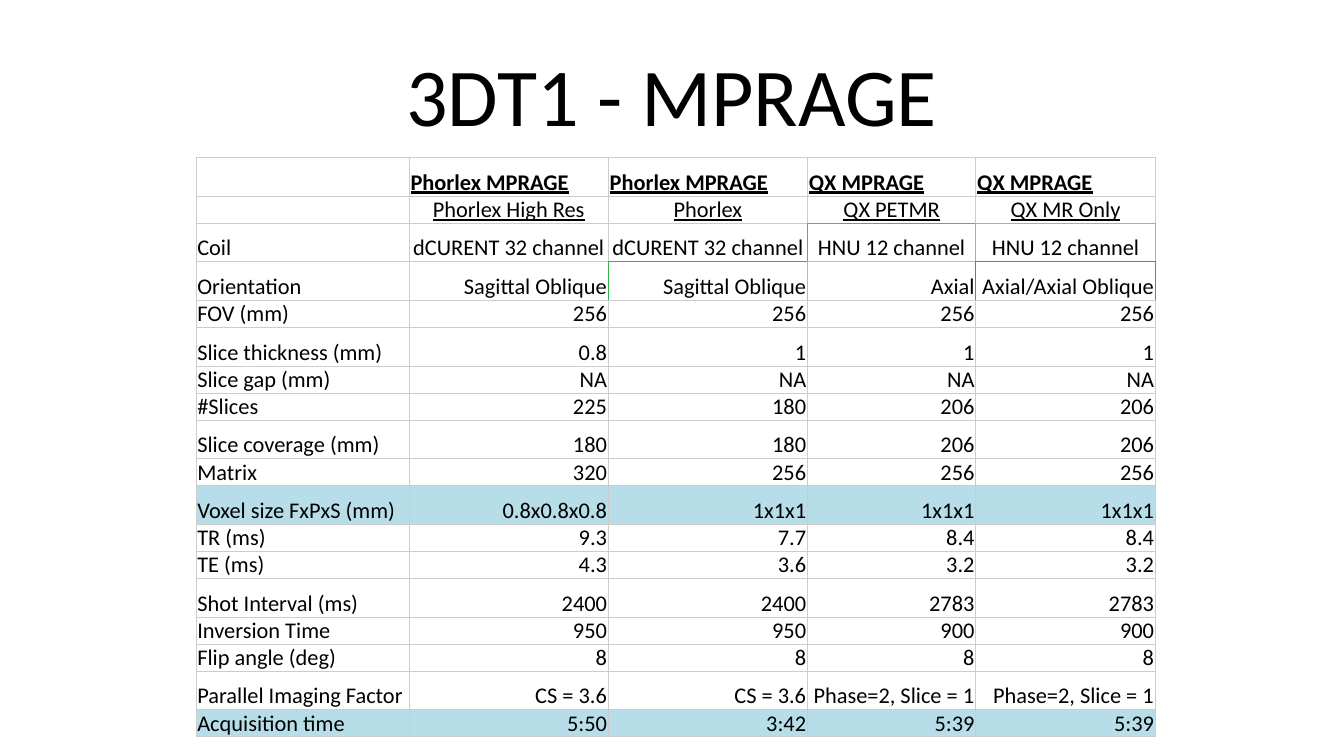
from lxml.etree import SubElement
from pptx import Presentation
from pptx.dml.color import RGBColor
from pptx.enum.text import MSO_ANCHOR as Anchor, PP_ALIGN as Align
from pptx.oxml.ns import qn
from pptx.util import Pt

FONT = "Calibri"
BLACK = RGBColor(0x00, 0x00, 0x00)
GRID = RGBColor(0xCC, 0xCC, 0xCC)
HIGHLIGHT = RGBColor(0xB7, 0xDE, 0xE8)
GREEN = RGBColor(0x48, 0xBC, 0x4C)
OLIVE = RGBColor(0xB0, 0xBC, 0x4C)
LEAF = RGBColor(0x30, 0xB3, 0x4C)
AMBER = RGBColor(0xE0, 0xBA, 0x4C)
EMERALD = RGBColor(0x00, 0xBF, 0x4C)

PROTOCOL = [
    ("", "Phorlex MPRAGE", "Phorlex MPRAGE", "QX MPRAGE", "QX MPRAGE"),
    ("", "Phorlex High Res", "Phorlex", "QX PETMR", "QX MR Only"),
    ("Coil", "dCURENT 32 channel", "dCURENT 32 channel", "HNU 12 channel", "HNU 12 channel"),
    ("Orientation", "Sagittal Oblique", "Sagittal Oblique", "Axial", "Axial/Axial Oblique"),
    ("FOV (mm)", "256", "256", "256", "256"),
    ("Slice thickness (mm)", "0.8", "1", "1", "1"),
    ("Slice gap (mm)", "NA", "NA", "NA", "NA"),
    ("#Slices", "225", "180", "206", "206"),
    ("Slice coverage (mm)", "180", "180", "206", "206"),
    ("Matrix", "320", "256", "256", "256"),
    ("Voxel size FxPxS (mm)", "0.8x0.8x0.8", "1x1x1", "1x1x1", "1x1x1"),
    ("TR (ms)", "9.3", "7.7", "8.4", "8.4"),
    ("TE (ms)", "4.3", "3.6", "3.2", "3.2"),
    ("Shot Interval (ms)", "2400", "2400", "2783", "2783"),
    ("Inversion Time", "950", "950", "900", "900"),
    ("Flip angle (deg)", "8", "8", "8", "8"),
    ("Parallel Imaging Factor", "CS = 3.6", "CS = 3.6", "Phase=2, Slice = 1", "Phase=2, Slice = 1"),
    ("Acquisition time", "5:50", "3:42", "5:39", "5:39"),
]
COLUMN_SHARES = (114, 106.5, 106.5, 90, 96)
TALL_ROWS = {0, 2, 3, 5, 8, 10, 13, 16}
TALL, SHORT = 20.8, 14.1
HIGHLIGHT_ROWS = {10, 17}
SIDES = ("L", "R", "T", "B")
ACCENT_EDGES = {
    (1, 3): {"B": GREEN},
    (1, 4): {"B": OLIVE},
    (2, 2): {"R": GREEN, "B": LEAF},
    (2, 3): {"L": GREEN, "T": GREEN, "R": OLIVE, "B": AMBER},
    (2, 4): {"L": OLIVE, "T": OLIVE, "R": OLIVE, "B": EMERALD},
    (3, 1): {"R": LEAF},
    (3, 2): {"L": LEAF, "T": LEAF, "R": AMBER},
    (3, 3): {"L": AMBER, "T": AMBER, "R": EMERALD},
    (3, 4): {"L": EMERALD, "T": EMERALD, "R": EMERALD},
}


def style_text(paragraph, size, align, bold=False, underline=False):
    """Set the alignment and font of a paragraph."""
    paragraph.alignment = align
    font = paragraph.font
    font.name, font.size = FONT, Pt(size)
    font.bold, font.underline = bold, underline
    font.color.rgb = BLACK


def draw_edges(cell, accents):
    """Draw the four borders of a cell, grey unless an accent is given."""
    properties = cell._tc.get_or_add_tcPr()
    for side in SIDES:
        edge = SubElement(properties, qn(f"a:ln{side}"), w=str(Pt(0.5)))
        fill = SubElement(edge, qn("a:solidFill"))
        SubElement(fill, qn("a:srgbClr"), val=str(accents.get(side, GRID)))


def fill_cell(cell, row, column, wording):
    """Write one protocol value and style its cell."""
    cell.margin_left = cell.margin_right = Pt(0.72)
    cell.margin_top = cell.margin_bottom = Pt(0)
    cell.vertical_anchor = Anchor.BOTTOM
    cell.text = wording
    if column == 0 or row == 0:
        align = Align.LEFT
    else:
        align = Align.CENTER if row < 3 else Align.RIGHT
    style_text(cell.text_frame.paragraphs[0], 12, align, row == 0, row < 2)
    draw_edges(cell, ACCENT_EDGES.get((row, column), {}))
    if row in HIGHLIGHT_ROWS:
        cell.fill.solid()
        cell.fill.fore_color.rgb = HIGHLIGHT
    else:
        cell.fill.background()


def add_title(slide, left, top, width, height):
    """Place the centred slide title in the given box."""
    frame = slide.shapes.add_textbox(Pt(left), Pt(top), Pt(width), Pt(height)).text_frame
    frame.word_wrap = True
    frame.vertical_anchor = Anchor.MIDDLE
    frame.text = "3DT1 - MPRAGE"
    style_text(frame.paragraphs[0], 44, Align.CENTER)


def add_protocol_table(slide, left, top, width):
    """Place the scan protocol table with its columns shared over the width."""
    heights = [TALL if row in TALL_ROWS else SHORT for row in range(len(PROTOCOL))]
    table = slide.shapes.add_table(
        len(PROTOCOL), len(COLUMN_SHARES), Pt(left), Pt(top), Pt(width), Pt(sum(heights))
    ).table
    table.first_row = table.horz_banding = False
    for column, share in zip(table.columns, COLUMN_SHARES):
        column.width = Pt(width * share / sum(COLUMN_SHARES))
    for row, (height, values) in enumerate(zip(heights, PROTOCOL)):
        table.rows[row].height = Pt(height)
        for column, wording in enumerate(values):
            fill_cell(table.cell(row, column), row, column, wording)


def build_slide():
    """Build and save the one-slide presentation."""
    deck = Presentation()
    deck.slide_width, deck.slide_height = Pt(720), Pt(405)
    slide = deck.slides.add_slide(deck.slide_layouts[6])
    add_title(slide, 36, 16.5, 648, 67.5)
    add_protocol_table(slide, 105, 84.25, 514)
    deck.save("out.pptx")


build_slide()
